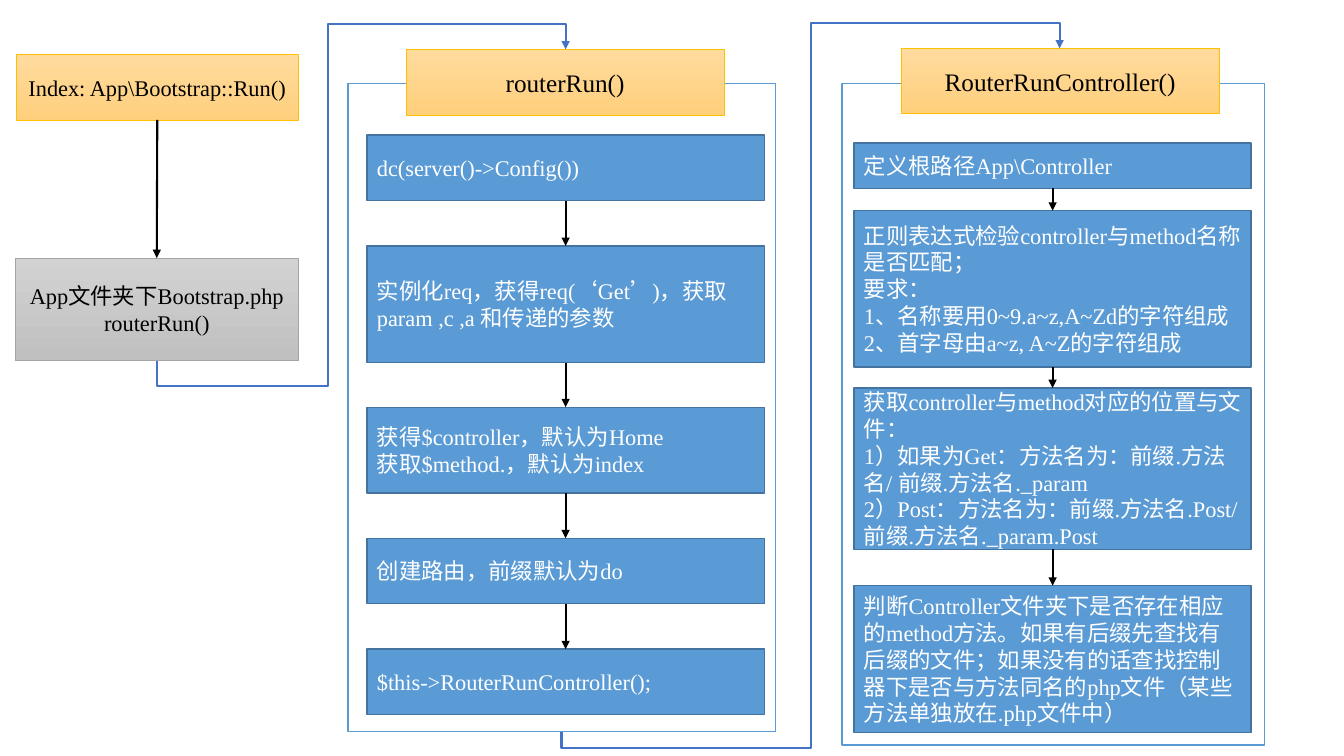
"""Build the router flow chart slide."""
from lxml import etree
from pptx import Presentation
from pptx.dml.color import RGBColor
from pptx.enum.shapes import MSO_CONNECTOR, MSO_SHAPE
from pptx.enum.text import MSO_ANCHOR, PP_ALIGN
from pptx.oxml.ns import qn
from pptx.util import Inches, Pt

RECT = MSO_SHAPE.RECTANGLE
LINE, ELBOW = MSO_CONNECTOR.STRAIGHT, MSO_CONNECTOR.ELBOW
MID, LEFT, CENTER = MSO_ANCHOR.MIDDLE, PP_ALIGN.LEFT, PP_ALIGN.CENTER
FONT = "Times New Roman"
HEX = {
    "white": "FFFFFF", "black": "000000", "blue": "5B9BD5", "navy": "43739E",
    "gold": "FFC000", "gold_top": "FFDB9E", "gold_end": "FFD07C",
    "gray": "A5A5A5", "gray_top": "D2D2D2", "gray_end": "C0C0C0",
    "link": "4472C4",
}
GOLD = {"fill": ("gold_top", "gold_end"), "edge": "gold", "width": 0.5}
GRAY = {"fill": ("gray_top", "gray_end"), "edge": "gray", "width": 0.5}
DARK = {"color": "black", "align": CENTER}

FRAMES = [(8.35, 0.83, 4.19, 6.56), (3.45, 0.83, 4.24, 6.43)]
START = ((0.16, 0.54, 2.8, 0.65), ["Index: App\\Bootstrap::Run()"])
BOOT = ((0.15, 2.56, 2.81, 1.02), ["App文件夹下Bootstrap.php", "routerRun()"])
HEADS = [
    ((4.03, 0.49, 3.15, 0.65), ["routerRun()"]),
    ((8.94, 0.48, 3.15, 0.65), ["RouterRunController()"]),
]
STEP_W = 3.94
# Each step: gap above, height, paragraphs
STACKS = [
    (3.64, 1.34, [
        (0, 0.65, ["dc(server()->Config())"]),
        (0.45, 1.16, ["实例化req，获得req(‘Get’)，获取param ,c ,a 和传递的参数"]),
        (0.44, 0.85, ["获得$controller，默认为Home", "获取$method.，默认为index"]),
        (0.45, 0.65, ["创建路由，前缀默认为do"]),
        (0.45, 0.65, ["$this->RouterRunController();"]),
    ]),
    (8.47, 1.42, [
        (0, 0.45, ["定义根路径App\\Controller"]),
        (0.22, 1.55, ["正则表达式检验controller与method名称是否匹配；", "要求：",
                      "1、名称要用0~9.a~z,A~Zd的字符组成",
                      "2、首字母由a~z, A~Z的字符组成"]),
        (0.21, 1.6, ["获取controller与method对应的位置与文件：",
                     "1）如果为Get：方法名为：前缀.方法名/ 前缀.方法名._param",
                     "2）Post：方法名为：前缀.方法名.Post/ 前缀.方法名._param.Post"]),
        (0.36, 1.46, ["判断Controller文件夹下是否存在相应的method方法。"
                      "如果有后缀先查找有后缀的文件；如果没有的话查找控制器下"
                      "是否与方法同名的php文件（某些方法单独放在.php文件中）"]),
    ]),
]
# Each bend: start, end, middle x, drop below start, rise above end
BENDS = [
    ((1.56, 3.58), (5.61, 0.49), 3.25, 0.25, 0.25),
    ((5.57, 7.26), (10.51, 0.48), 8.04, 0.16, 0.25),
]


def tint(name):
    return RGBColor.from_string(HEX[name])


def write(shape, lines, size=16, color="white", align=LEFT):
    frame = shape.text_frame
    frame.word_wrap = True
    frame.vertical_anchor = MID
    frame.text = "\n".join(lines)
    for para in frame.paragraphs:
        para.alignment = align
        font = para.runs[0].font
        font.name, font.size, font.color.rgb = FONT, Pt(size), tint(color)


def box(place, fill="blue", edge="navy", width=1):
    shape = slide.shapes.add_shape(RECT, *map(Inches, place))
    shape.shadow.inherit = False
    if isinstance(fill, tuple):
        shape.fill.gradient()
        shape.fill.gradient_angle = 270
        for stop, name in zip(shape.fill.gradient_stops, fill):
            stop.color.rgb = tint(name)
    else:
        shape.fill.solid()
        shape.fill.fore_color.rgb = tint(fill)
    shape.line.color.rgb = tint(edge)
    shape.line.width = Pt(width)
    return shape


def arrow(kind, ends, color):
    link = slide.shapes.add_connector(kind, *map(Inches, ends))
    link.line.color.rgb = tint(color)
    link.line.width = Pt(1.5)
    etree.SubElement(link.line._get_or_add_ln(), qn("a:tailEnd"), type="triangle")
    etree.SubElement(link._element.spPr, qn("a:effectLst"))
    return link


def join(upper, lower):
    link = arrow(LINE, (0, 0, 0, 0), "black")
    link.begin_connect(upper, 2)
    link.end_connect(lower, 0)


def bend(start, end, mid, drop, rise):
    (x1, y1), (x2, y2) = start, end
    w, h = y1 - y2, x2 - x1
    left, top = (x1 + x2 - w) / 2, (y1 + y2 - h) / 2
    props = arrow(ELBOW, (left, top, left + w, top + h), "link")._element.spPr
    for key, value in (("rot", "5400000"), ("flipH", "1"), ("flipV", "1")):
        props.find(qn("a:xfrm")).set(key, value)
    geom = props.find(qn("a:prstGeom"))
    geom.set("prst", "bentConnector5")
    guides = geom.find(qn("a:avLst"))
    for i, part in enumerate((-drop / w, (mid - x1) / h, 1 + rise / w), 1):
        etree.SubElement(guides, qn("a:gd"), name=f"adj{i}",
                         fmla=f"val {round(part * 100000)}")


deck = Presentation()
deck.slide_width, deck.slide_height = Inches(13.33), Inches(7.5)
slide = deck.slides.add_slide(deck.slide_layouts[6])

for place in FRAMES:
    box(place, fill="white", edge="blue")

pair = []
for (place, lines), style in ((START, GOLD), (BOOT, GRAY)):
    pair.append(box(place, **style))
    write(pair[-1], lines, **DARK)
join(*pair)

for left, top, steps in STACKS:
    chain = []
    for gap, high, lines in steps:
        top += gap
        chain.append(box((left, top, STEP_W, high)))
        write(chain[-1], lines)
        top += high
    for upper, lower in zip(chain, chain[1:]):
        join(upper, lower)

for place, lines in HEADS:
    write(box(place, **GOLD), lines, size=18, **DARK)
for route in BENDS:
    bend(*route)

deck.save("out.pptx")
